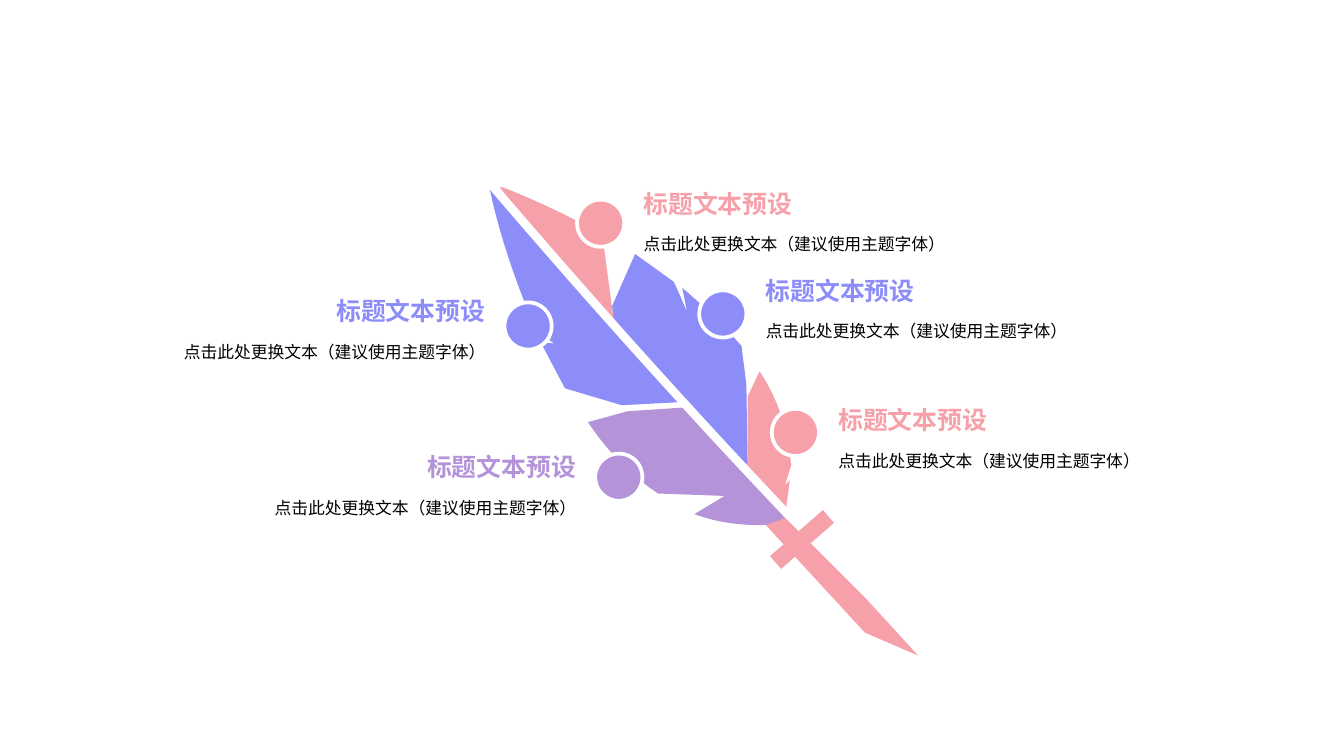
from dataclasses import dataclass

from pptx import Presentation
from pptx.dml.color import RGBColor
from pptx.enum.shapes import MSO_SHAPE as Shape
from pptx.enum.text import MSO_ANCHOR as Anchor, PP_ALIGN as Align
from pptx.util import Inches, Pt


@dataclass(frozen=True)
class Theme:
    font: str = "Calibri"
    title_size: float = 14.8
    detail_size: float = 10
    outline_width: float = 2.25
    pink: str = "F6A0A9"
    blue: str = "8C8DF9"
    purple: str = "B493D9"
    white: str = "FFFFFF"
    black: str = "000000"


THEME = Theme()
TITLE = "标题文本预设"
DETAIL = "点击此处更换文本（建议使用主题字体）"
DOT_SIZE = 0.39
TEXT_WIDTH, TEXT_HEIGHT = 3.51, 0.32
CURVE_STEPS = 10

# Each half of the feather hangs on its own edge of the spine, which starts here
LEFT_TIP = (4.05, 1.57)
RIGHT_TIP = (4.13, 1.55)


@dataclass(frozen=True)
class Vane:
    """A coloured part between the spine and its outer rim.

    The rim runs from the lower end of the spine back to the upper end.
    A stop (x, y) is a corner; (control x, control y, x, y) ends a curve.
    """
    color: str
    tip: tuple
    spine_start: float
    spine_end: float
    rim: list


VANES = {
    "lower right": Vane(THEME.pink, RIGHT_TIP, 6.18, 6.5, [
        (6.53, 3.97), (6.49, 4.01), (6.54, 3.85),
        (6.51, 3.42, 6.28, 3.07), (6.18, 3.28)]),
    "middle right": Vane(THEME.blue, RIGHT_TIP, 5.07, 6.18, [
        (6.17, 3.18), (6.13, 2.86), (5.9, 2.6, 5.64, 2.38),
        (5.68, 2.58), (5.63, 2.46, 5.57, 2.33), (5.25, 2.1), (5.06, 2.53)]),
    "upper right": Vane(THEME.pink, RIGHT_TIP, 4.13, 5.07, [
        (4.98, 1.94), (4.59, 1.72, 4.16, 1.55)]),
    "lower left": Vane(THEME.purple, LEFT_TIP, 5.64, 6.49, [
        (6.33, 4.34), (6.01, 4.35, 5.74, 4.25), (5.99, 4.1),
        (5.44, 4.08), (5.11, 3.86, 4.86, 3.49), (5.19, 3.4)]),
    "upper left": Vane(THEME.blue, LEFT_TIP, 4.05, 5.6, [
        (5.14, 3.35), (4.67, 3.21), (4.47, 2.83), (4.58, 2.84),
        (4.43, 2.73), (4.16, 2.09, 4.05, 1.57)]),
}
QUILL = [(6.33, 4.34), (6.4, 4.28, 6.49, 4.28),
         (7.16, 4.95), (7.59, 5.42), (7.15, 5.23)]


@dataclass(frozen=True)
class Item:
    color: str
    align: Align
    dot_left: float
    dot_top: float
    caption_top: float


ITEMS = [
    Item(THEME.blue, Align.RIGHT, 4.17, 2.5, 2.41),
    Item(THEME.purple, Align.RIGHT, 4.92, 3.75, 3.7),
    Item(THEME.pink, Align.LEFT, 4.77, 1.65, 1.52),
    Item(THEME.blue, Align.LEFT, 5.78, 2.4, 2.24),
    Item(THEME.pink, Align.LEFT, 6.38, 3.38, 3.31),
]


def spine_points(tip, start, end):
    """Points down the gently bending spine between two x positions."""
    tip_x, tip_y = tip
    points = []
    for step in range(CURVE_STEPS + 1):
        x = start + (end - start) * step / CURVE_STEPS
        run = x - tip_x
        points.append((x, tip_y + 1.17 * run - 0.024 * run ** 2))
    return points


def trace(stops):
    """Turn corners and quadratic curves into points."""
    points = []
    for *control, x, y in stops:
        if control:
            (start_x, start_y), (control_x, control_y) = points[-1], control
            for step in range(1, CURVE_STEPS):
                t = step / CURVE_STEPS
                a, b, c = (1 - t) ** 2, 2 * t * (1 - t), t ** 2
                points.append((a * start_x + b * control_x + c * x,
                               a * start_y + b * control_y + c * y))
        points.append((x, y))
    return points


class FeatherSlide:
    def __init__(self, slide, theme):
        self.slide = slide
        self.theme = theme

    def paint(self, shape, color, line_color=None):
        shape.shadow.inherit = False
        shape.fill.solid()
        shape.fill.fore_color.rgb = RGBColor.from_string(color)
        if line_color:
            shape.line.color.rgb = RGBColor.from_string(line_color)
            shape.line.width = Pt(self.theme.outline_width)
        else:
            shape.line.fill.background()

    def outline(self, points, color):
        start, *rest = [(Inches(x), Inches(y)) for x, y in points]
        builder = self.slide.shapes.build_freeform(*start)
        builder.add_line_segments(rest, close=True)
        self.paint(builder.convert_to_shape(), color)

    def vane(self, vane):
        spine = spine_points(vane.tip, vane.spine_start, vane.spine_end)
        self.outline(spine + trace(vane.rim), vane.color)

    def preset(self, kind, left, top, width, height, color,
               line_color=None, rotation=0):
        shape = self.slide.shapes.add_shape(
            kind, Inches(left), Inches(top), Inches(width), Inches(height))
        shape.rotation = rotation
        self.paint(shape, color, line_color)

    def text(self, text, left, top, size, color, align, bold=False, spacing=1.0):
        shape = self.slide.shapes.add_textbox(
            Inches(left), Inches(top), Inches(TEXT_WIDTH), Inches(TEXT_HEIGHT))
        frame = shape.text_frame
        paragraph = frame.paragraphs[0]
        run = paragraph.add_run()
        run.text = text
        run.font.color.rgb = RGBColor.from_string(color)
        formats = [
            (frame, {"word_wrap": True, "vertical_anchor": Anchor.MIDDLE,
                     "margin_left": Inches(0.16), "margin_right": Inches(0.16),
                     "margin_top": Inches(0.05), "margin_bottom": Inches(0.05)}),
            (paragraph, {"alignment": align, "line_spacing": spacing}),
            (run.font, {"name": self.theme.font, "size": Pt(size), "bold": bold}),
        ]
        for target, values in formats:
            for name, value in values.items():
                setattr(target, name, value)

    def item(self, item):
        """A dot with its title and detail on the outer side."""
        theme = self.theme
        self.preset(Shape.OVAL, item.dot_left, item.dot_top, DOT_SIZE, DOT_SIZE,
                    item.color, line_color=theme.white)
        offset = DOT_SIZE if item.align == Align.LEFT else -TEXT_WIDTH
        left = item.dot_left + offset
        self.text(TITLE, left, item.caption_top, theme.title_size,
                  item.color, item.align, bold=True)
        self.text(DETAIL, left, item.caption_top + TEXT_HEIGHT,
                  theme.detail_size, theme.black, item.align, spacing=1.2)


def main():
    presentation = Presentation()
    presentation.slide_width = Inches(11.11)
    presentation.slide_height = Inches(6.25)
    slide = presentation.slides.add_slide(presentation.slide_layouts[6])
    feather = FeatherSlide(slide, THEME)

    # Quill with its crossbar
    feather.outline(trace(QUILL), THEME.pink)
    feather.preset(Shape.RECTANGLE, 6.34, 4.39, 0.58, 0.14, THEME.pink,
                   rotation=-41)

    # Vanes
    for vane in VANES.values():
        feather.vane(vane)

    # Dots and captions
    for item in ITEMS:
        feather.item(item)

    presentation.save("out.pptx")


if __name__ == "__main__":
    main()
